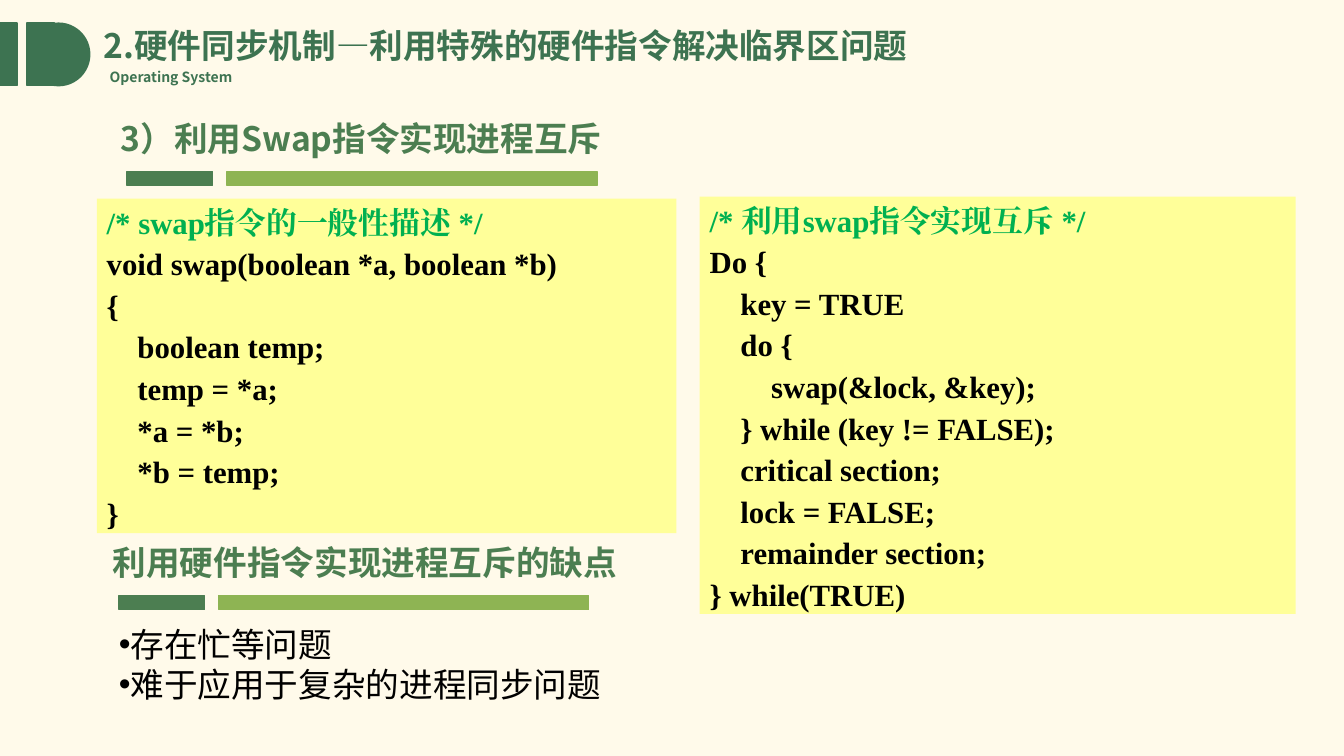
from lxml import etree
from pptx import Presentation, util as u
from pptx.dml.color import RGBColor
from pptx.enum import shapes, text
from pptx.oxml.ns import qn

CREAM = RGBColor(0xFF, 0xFA, 0xEA)
PINE = RGBColor(0x3D, 0x73, 0x51)
GREEN = RGBColor(0x4C, 0x7E, 0x51)
LIME = RGBColor(0x8E, 0xB4, 0x53)
YELLOW = RGBColor(0xFF, 0xFF, 0x99)
COMMENT = RGBColor(0x00, 0xB0, 0x50)
BLACK = RGBColor(0, 0, 0)

HEAD_FONT, CODE_FONT, BODY_FONT = "Noto Sans CJK SC", "Times New Roman", "Calibri"
RECT, OVAL = shapes.MSO_SHAPE.RECTANGLE, shapes.MSO_SHAPE.OVAL

SWAP_CODE = """/* swap指令的一般性描述 */
void swap(boolean *a, boolean *b)
{
    boolean temp;
    temp = *a;
    *a = *b;
    *b = temp;
}"""

MUTEX_CODE = """/* 利用swap指令实现互斥 */
Do {
    key = TRUE
    do {
        swap(&lock, &key);
    } while (key != FALSE);
    critical section;
    lock = FALSE;
    remainder section;
} while(TRUE)"""


def add_block(s, kind, box, color, outlined=True):
    sp = s.shapes.add_shape(kind, *map(u.Inches, box))
    sp.shadow.inherit = False
    sp.fill.solid()
    sp.fill.fore_color.rgb = color
    if outlined:
        sp.line.color.rgb = color
        sp.line.width = u.Pt(1)
    else:
        sp.line.fill.background()
    return sp


def add_run(p, words, font, size, color, bold=True):
    r = p.add_run()
    r.text = words
    r.font.name, r.font.size, r.font.bold = font, u.Pt(size), bold
    r.font.color.rgb = color
    etree.SubElement(r.font._element, qn("a:ea"), typeface=font)


def add_text(s, box, wrap=True):
    tf = s.shapes.add_textbox(*map(u.Inches, box)).text_frame
    tf.word_wrap = wrap
    tf.vertical_anchor = text.MSO_ANCHOR.MIDDLE
    return tf


def paragraphs(tf, lines):
    """Yield a paragraph for each line, reusing the first empty one."""
    for i, line in enumerate(lines):
        yield (tf.add_paragraph() if i else tf.paragraphs[0]), line


def header(s, x, y, size, title):
    # Bar and rounded tab at the left edge
    tab = x + 0.27
    add_block(s, RECT, (x, y, 0.17, size), PINE)
    add_block(s, RECT, (tab, y, 0.27, size), PINE)
    add_block(s, OVAL, (tab, y, size, size), PINE)
    # Course name and title
    tf = add_text(s, (x + 0.99, y + 0.4, 1.47, 0.27), wrap=False)
    add_run(tf.paragraphs[0], "Operating System", HEAD_FONT, 10, PINE)
    p = add_text(s, (x + 0.93, y - 0.01, 9.83, 0.5)).paragraphs[0]
    p.line_spacing = 0.9
    add_run(p, title, HEAD_FONT, 24, PINE)


def section_heading(s, x, y, words):
    # Two-tone underline below the heading
    for dx, width, color in ((0.16, 0.85, GREEN), (1.15, 3.67, LIME)):
        add_block(s, RECT, (x + dx, y + 0.58, width, 0.14), color)
    tf = add_text(s, (x, y, 5.81, 0.5))
    add_run(tf.paragraphs[0], words, HEAD_FONT, 24, GREEN)


def code_panel(s, box, code):
    tf = add_block(s, RECT, box, YELLOW, outlined=False).text_frame
    tf.word_wrap = True
    tf.vertical_anchor = text.MSO_ANCHOR.TOP
    for i, (p, line) in enumerate(paragraphs(tf, code.split("\n"))):
        p.alignment = text.PP_ALIGN.LEFT
        if i:
            p.space_before = u.Pt(3.3)
        add_run(p, line, CODE_FONT, 22, BLACK if i else COMMENT)


def bullet_list(s, box, items):
    tf = add_text(s, box)
    for p, item in paragraphs(tf, items):
        pPr = p._p.get_or_add_pPr()
        pPr.set("marL", "0")
        pPr.set("indent", "0")
        etree.SubElement(pPr, qn("a:buFont"), typeface="Arial")
        etree.SubElement(pPr, qn("a:buChar"), char="•")
        add_run(p, item, BODY_FONT, 24, BLACK, bold=False)


def main():
    prs = Presentation()
    prs.slide_width, prs.slide_height = u.Inches(13.33), u.Inches(7.5)
    s = prs.slides.add_slide(prs.slide_layouts[6])
    s.background.fill.solid()
    s.background.fill.fore_color.rgb = CREAM

    header(s, 0, 0.23, 0.62, "2.硬件同步机制—利用特殊的硬件指令解决临界区问题")
    section_heading(s, 1.1, 1.12, "3）利用Swap指令实现进程互斥")
    code_panel(s, (0.96, 1.97, 5.75, 3.32), SWAP_CODE)
    code_panel(s, (6.94, 1.95, 5.91, 4.14), MUTEX_CODE)
    section_heading(s, 1.02, 5.33, "利用硬件指令实现进程互斥的缺点")
    bullet_list(s, (1.08, 6.13, 8.32, 0.91),
                ("存在忙等问题", "难于应用于复杂的进程同步问题"))
    prs.save("out.pptx")


if __name__ == "__main__":
    main()
